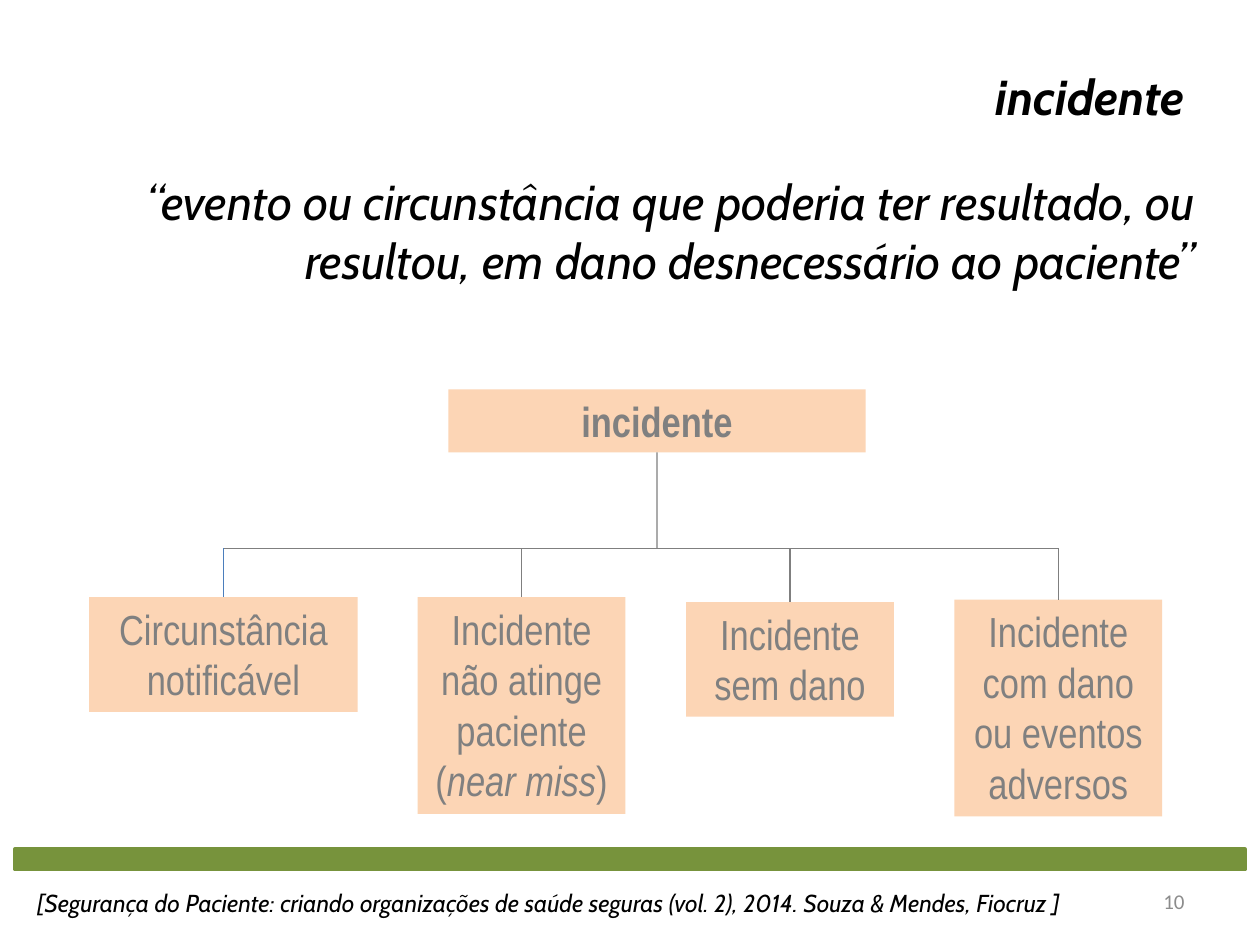
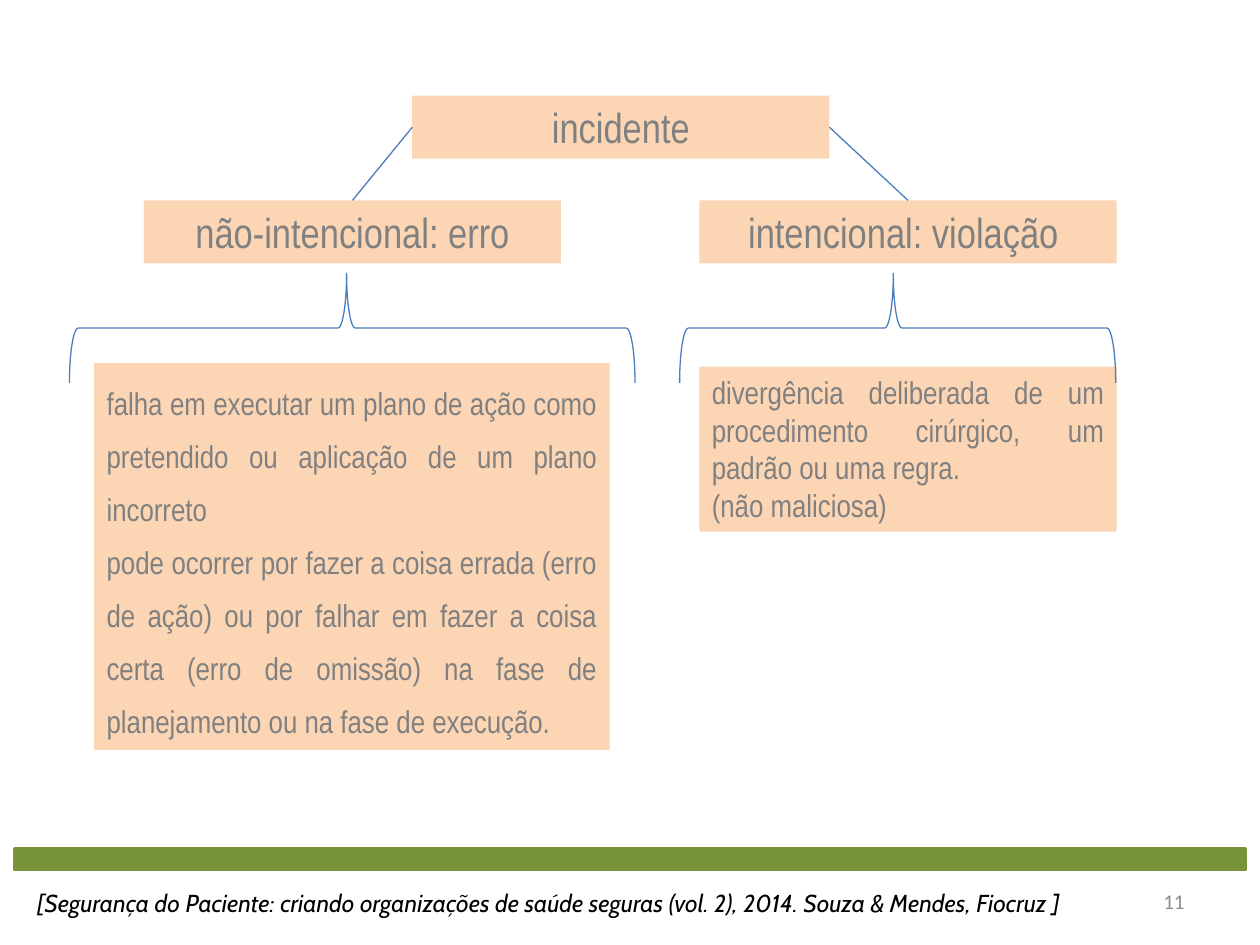
from lxml import etree
from pptx import Presentation
from pptx.dml.color import RGBColor
from pptx.enum.shapes import MSO_CONNECTOR, MSO_SHAPE
from pptx.enum.text import MSO_ANCHOR as ANCHOR, MSO_AUTO_SIZE as AUTO, PP_ALIGN as AL
from pptx.oxml.ns import qn
from pptx.util import Cm, Pt

COLORS = {
    "band": "77933C",
    "box": "FCD5B5",
    "box_text": "808080",
    "ink": "000000",
    "page": "8C8C8C",
    "blue": "4B7EBC",
    "gray": "7F7F7F",
}
SOURCE = ("[Segurança do Paciente: criando organizações de saúde seguras "
          "(vol. 2), 2014. Souza & Mendes, Fiocruz ]")
TOP, LEFT, BOTTOM, RIGHT = range(4)
HEAD_W, HEAD_H = 8.41, 1.27


def rgb(name):
    return RGBColor.from_string(COLORS[name])


def write(sp, paragraphs, font="Cabin", size=28, color="ink", bold=False, italic=False,
          align=AL.LEFT, anchor=ANCHOR.TOP, spacing=None, grow=False):
    """Fill sp; a paragraph is a string or a list of (text, italic) pairs."""
    tf = sp.text_frame
    tf.word_wrap = True
    tf.vertical_anchor = anchor
    tf.auto_size = AUTO.SHAPE_TO_FIT_TEXT if grow else AUTO.NONE
    for i, runs in enumerate(paragraphs):
        p = tf.add_paragraph() if i else tf.paragraphs[0]
        p.alignment = align
        if spacing:
            p.line_spacing = spacing
        for text, slanted in [(runs, italic)] if isinstance(runs, str) else runs:
            r = p.add_run()
            r.text = text
            r.font.name, r.font.size = font, Pt(size)
            r.font.bold, r.font.italic = bold, slanted
            r.font.color.rgb = rgb(color)


def add_text(s, x, y, w, h, text, **fmt):
    write(s.shapes.add_textbox(Cm(x), Cm(y), Cm(w), Cm(h)), [text], **fmt)


def add_rect(s, x, y, w, h, fill):
    sp = s.shapes.add_shape(MSO_SHAPE.RECTANGLE, Cm(x), Cm(y), Cm(w), Cm(h))
    sp.shadow.inherit = False
    sp.fill.solid()
    sp.fill.fore_color.rgb = rgb(fill)
    sp.line.fill.background()
    return sp


def add_box(s, x, y, w, h, *paragraphs, size=24, align=AL.CENTER, **fmt):
    sp = add_rect(s, x, y, w, h, "box")
    write(sp, paragraphs, font="Arial Narrow", size=size, color="box_text",
          align=align, grow=True, **fmt)
    return sp


def add_line(s, x1=0, y1=0, x2=0, y2=0, start=None, end=None, color="blue"):
    """Draw a line; start and end are (shape, side) pairs that replace a point."""
    line = s.shapes.add_connector(MSO_CONNECTOR.STRAIGHT, Cm(x1), Cm(y1), Cm(x2), Cm(y2))
    if start:
        line.begin_connect(*start)
    if end:
        line.end_connect(*end)
    line.line.color.rgb = rgb(color)
    line.line.width = Pt(0.75)
    etree.SubElement(line._element.spPr, qn("a:effectLst"))


def add_brace(s, x, y, w, h):
    """Draw a brace that points up and covers the given area."""
    sp = s.shapes.add_shape(MSO_SHAPE.LEFT_BRACE, Cm(x + (w - h) / 2), Cm(y - (w - h) / 2),
                            Cm(h), Cm(w))
    sp.rotation = 90
    sp.adjustments[0], sp.adjustments[1] = 0.08, 0.51
    sp.shadow.inherit = False
    sp.fill.background()
    sp.line.color.rgb = rgb("blue")
    sp.line.width = Pt(0.75)


def add_slide(prs, number):
    """Add a blank slide with the green band, the source and the page number."""
    s = prs.slides.add_slide(prs.slide_layouts[6])
    band = add_rect(s, 0.3, 17.12, 24.8, 0.41, "band")
    band.line.color.rgb = rgb("band")
    band.line.width = Pt(2)
    add_text(s, 18.21, 17.65, 5.92, 1.02, str(number), font="Calibri", size=12,
             color="page", align=AL.RIGHT, anchor=ANCHOR.MIDDLE)
    add_text(s, 0.5, 17.78, 24, 0.86, SOURCE, size=14, italic=True, grow=True)
    return s


def build_incident_types(prs):
    s = add_slide(prs, 10)
    add_text(s, 1.27, 0.76, 22.86, 2.36, "incidente", bold=True, italic=True,
             align=AL.RIGHT, anchor=ANCHOR.MIDDLE)
    add_text(s, 1.47, 3.33, 22.86, 4.29,
             "“evento ou circunstância que poderia ter resultado, ou resultou, "
             "em dano desnecessário ao paciente”", italic=True, align=AL.RIGHT)

    root = add_box(s, 9.04, 7.85, HEAD_W, HEAD_H, "incidente", bold=True)
    near_miss = [("Incidente não atinge paciente (", False), ("near miss", True), (")", False)]
    types = [
        (12.04, 5.41, 2.31, "Circunstância notificável", "blue"),
        (12.04, 4.19, 4.37, near_miss, "gray"),
        (12.14, 4.19, 2.31, "Incidente sem dano", "gray"),
        (12.09, 4.19, 4.37, "Incidente com dano ou eventos adversos", "gray"),
    ]
    bus_y, step, lefts = 11.05, 5.41, [1.8]
    lefts += [8.42 + i * step for i in range(3)]
    centers = [x + w / 2 for x, (_, w, *_) in zip(lefts, types)]
    root_x = 9.04 + HEAD_W / 2
    add_line(s, x2=root_x, y2=bus_y, start=(root, BOTTOM), color="gray")
    add_line(s, centers[0], bus_y, centers[-1], bus_y, color="gray")
    for x, center, (y, w, h, text, color) in zip(lefts, centers, types):
        box = add_box(s, x, y, w, h, text)
        add_line(s, center, bus_y, end=(box, TOP), color=color)


def build_error_and_violation(prs):
    s = add_slide(prs, 11)
    root = add_box(s, 8.31, 1.93, HEAD_W, HEAD_H, "incidente")
    error = add_box(s, 2.9, 4.04, HEAD_W, HEAD_H, "não-intencional: erro")
    violation = add_box(s, 14.1, 4.04, HEAD_W, HEAD_H, "intencional: violação ")
    add_line(s, start=(root, LEFT), end=(error, TOP))
    add_line(s, start=(root, RIGHT), end=(violation, TOP))

    add_box(s, 1.9, 7.32, 10.39, 7.8,
            "falha em executar um plano de ação como pretendido ou aplicação "
            "de um plano incorreto",
            "pode ocorrer por fazer a coisa errada (erro de ação) ou por falhar em "
            "fazer a coisa certa (erro de omissão) na fase de planejamento ou na "
            "fase de execução.",
            size=18, align=AL.JUSTIFY, spacing=1.4)
    add_box(s, 14.1, 7.39, HEAD_W, 3.33,
            "divergência deliberada de um procedimento cirúrgico, um padrão ou uma regra.",
            "(não maliciosa)", size=18, align=AL.JUSTIFY)
    for x, w in [(1.4, 11.4), (13.7, 8.79)]:
        add_brace(s, x, 5.51, w, 2.21)


def main():
    prs = Presentation()
    prs.slide_width, prs.slide_height = Cm(25.4), Cm(19.05)
    build_incident_types(prs)
    build_error_and_violation(prs)
    prs.save("out.pptx")


if __name__ == "__main__":
    main()
